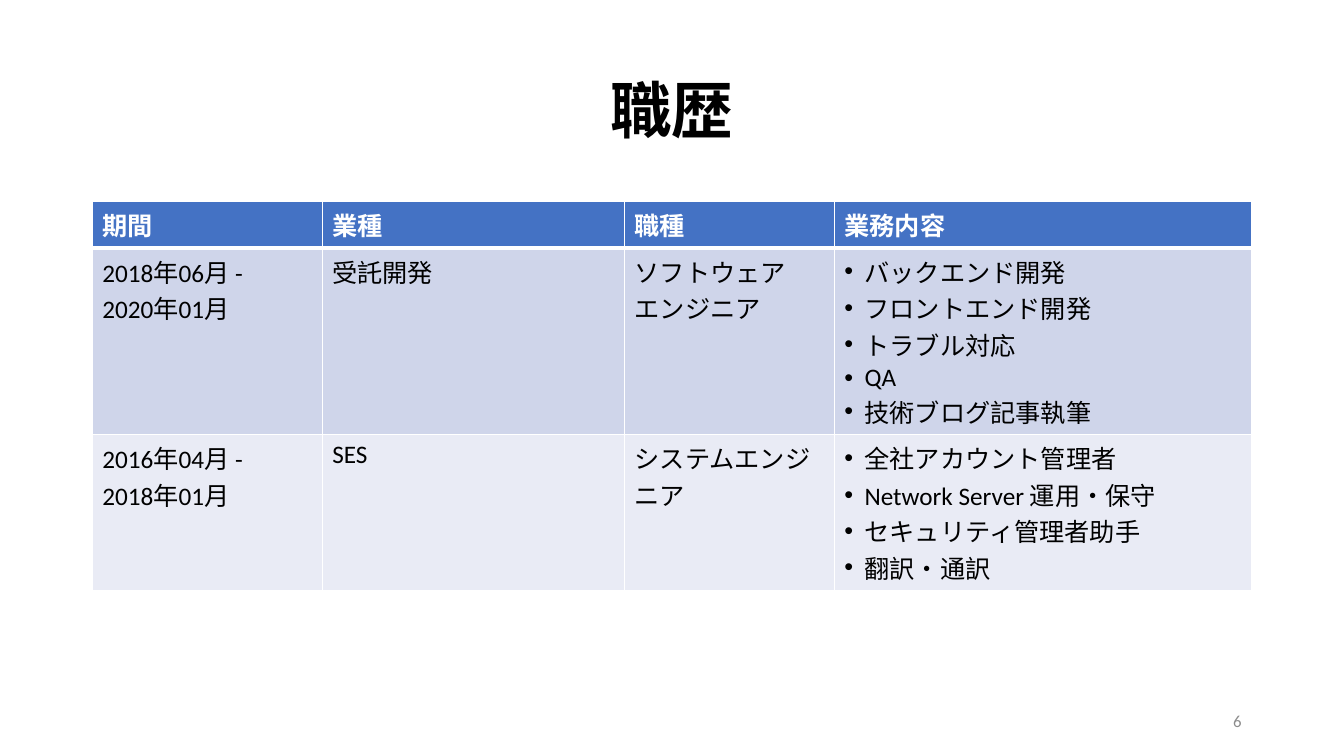
import dataclasses

import lxml.etree
import pptx
import pptx.dml.color
import pptx.enum.text
import pptx.oxml.ns
import pptx.util

Pt = pptx.util.Pt
ALIGN = pptx.enum.text.PP_ALIGN
ANCHOR = pptx.enum.text.MSO_ANCHOR
FONT = "Calibri"
COLORS = {
    "text": "000000",
    "white": "FFFFFF",
    "header": "4472C4",
    "band_dark": "CFD5EA",
    "band_light": "E9EBF5",
    "number": "8C8C8C",
}
COLUMN_WIDTHS = [164.2, 216, 149.8, 298]
ROW_HEIGHT = 29.5
HEADINGS = ["期間", "業種", "職種", "業務内容"]


@dataclasses.dataclass
class Job:
    period: list[str]
    industry: str
    role: list[str]
    duties: list[str]
    fill: str


JOBS = [
    Job(
        ["2018年06月 -", "2020年01月"],
        "受託開発",
        ["ソフトウェア", "エンジニア"],
        ["バックエンド開発", "フロントエンド開発", "トラブル対応", "QA", "技術ブログ記事執筆"],
        "band_dark",
    ),
    Job(
        ["2016年04月 -", "2018年01月"],
        "SES",
        ["システムエンジニア"],
        ["全社アカウント管理者", "Network Server 運用・保守", "セキュリティ管理者助手", "翻訳・通訳"],
        "band_light",
    ),
]


def rgb(name: str) -> pptx.dml.color.RGBColor:
    return pptx.dml.color.RGBColor.from_string(COLORS[name])


def add_element(parent, tag: str, **attributes: str):
    return lxml.etree.SubElement(parent, pptx.oxml.ns.qn(tag), attributes)


def write_text(tf, lines: list[str], *, size: float = 18, color: str = "text",
               bold: bool = False, align=ALIGN.LEFT, bullet: bool = False,
               spacing: float = 1.0) -> None:
    for i, line in enumerate(lines):
        p = tf.paragraphs[0] if i == 0 else tf.add_paragraph()
        p.alignment = align
        p.line_spacing = spacing
        if bullet:
            pPr = p._p.get_or_add_pPr()
            pPr.set("marL", str(Pt(14.4)))
            pPr.set("indent", str(-Pt(14.4)))
            add_element(pPr, "a:buFont", typeface="Arial")
            add_element(pPr, "a:buChar", char="•")
        r = p.add_run()
        r.text = line
        r.font.name = FONT
        r.font.size = Pt(size)
        r.font.bold = bold
        r.font.color.rgb = rgb(color)


def style_cell(cell, fill: str, top: float, bottom: float) -> None:
    tcPr = cell._tc.get_or_add_tcPr()
    for tag, width in (("a:lnL", 1), ("a:lnR", 1), ("a:lnT", top), ("a:lnB", bottom)):
        ln = add_element(tcPr, tag, w=str(Pt(width)))
        add_element(add_element(ln, "a:solidFill"), "a:srgbClr", val=COLORS["white"])
    cell.fill.solid()
    cell.fill.fore_color.rgb = rgb(fill)


def add_title(s, text: str) -> None:
    sp = s.shapes.title
    sp.left, sp.top, sp.width, sp.height = Pt(66), Pt(28.75), Pt(828), Pt(104.4)
    sp.text_frame.vertical_anchor = ANCHOR.MIDDLE
    write_text(sp.text_frame, [text], size=44, bold=True, align=ALIGN.CENTER, spacing=0.9)


def add_job_table(s, jobs: list[Job]) -> None:
    rows = len(jobs) + 1
    table = s.shapes.add_table(rows, len(HEADINGS), Pt(66), Pt(143.75),
                               Pt(sum(COLUMN_WIDTHS)), Pt(rows * ROW_HEIGHT)).table
    for column, width in zip(table.columns, COLUMN_WIDTHS):
        column.width = Pt(width)
    for cell, heading in zip(table.rows[0].cells, HEADINGS):
        style_cell(cell, "header", 1, 3)
        write_text(cell.text_frame, [heading], color="white", bold=True)
    for i, job in enumerate(jobs, start=1):
        contents = [job.period, [job.industry], job.role, job.duties]
        for cell, lines in zip(table.rows[i].cells, contents):
            style_cell(cell, job.fill, 3 if i == 1 else 1, 1)
            write_text(cell.text_frame, lines, bullet=lines is job.duties)


def add_page_number(s, number: int) -> None:
    sp = s.shapes.add_textbox(Pt(678), Pt(500.5), Pt(216), Pt(28.75))
    sp.text_frame.word_wrap = True
    sp.text_frame.vertical_anchor = ANCHOR.MIDDLE
    write_text(sp.text_frame, [str(number)], size=12, color="number", align=ALIGN.RIGHT)


def main() -> None:
    prs = pptx.Presentation()
    prs.slide_width, prs.slide_height = Pt(960), Pt(540)
    s = prs.slides.add_slide(prs.slide_layouts[5])
    add_title(s, "職歴")
    add_job_table(s, JOBS)
    add_page_number(s, 6)
    prs.save("out.pptx")


if __name__ == "__main__":
    main()
